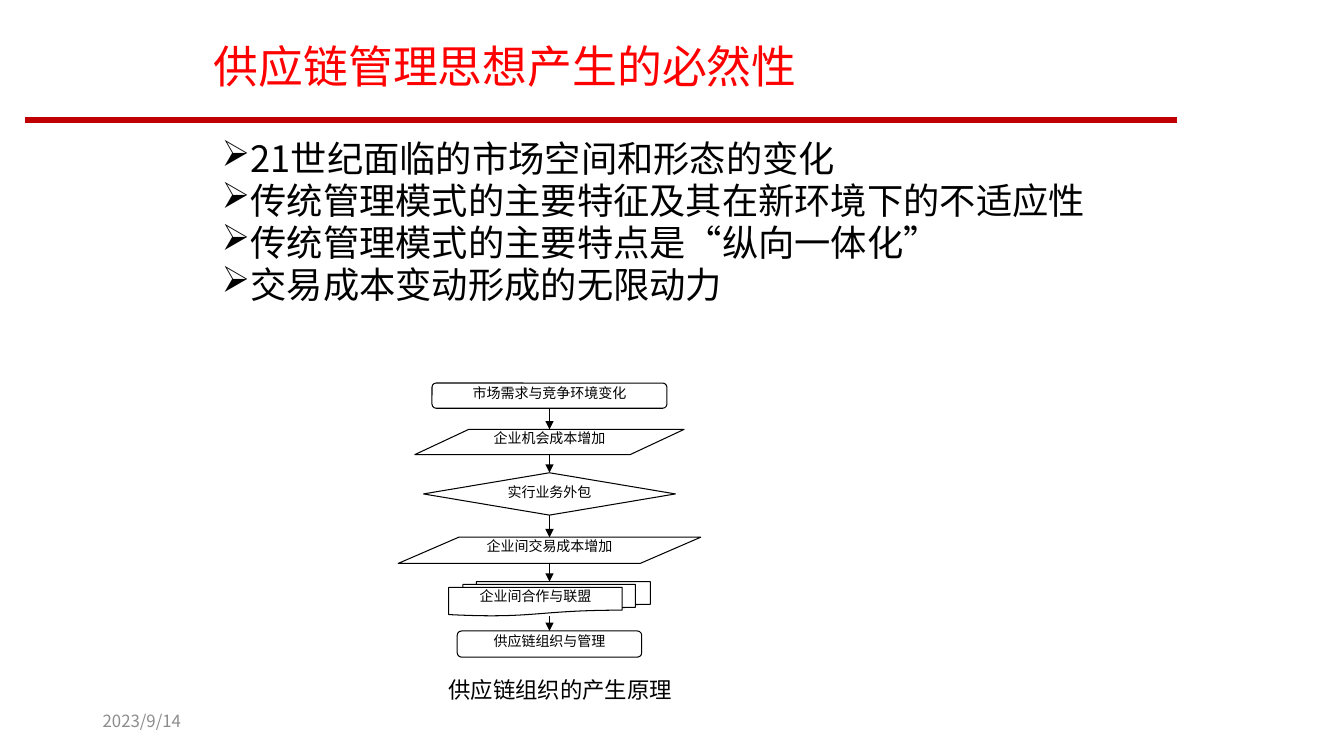
"""Build a slide on why supply chain management thinking had to emerge."""
from lxml import etree
from pptx import Presentation
from pptx.dml.color import RGBColor
from pptx.enum.shapes import MSO_CONNECTOR, MSO_SHAPE
from pptx.enum.text import MSO_ANCHOR, PP_ALIGN
from pptx.oxml.ns import qn
from pptx.util import Inches, Pt

STRAIGHT = MSO_CONNECTOR.STRAIGHT
TERMINAL = MSO_SHAPE.FLOWCHART_ALTERNATE_PROCESS
DATA = MSO_SHAPE.FLOWCHART_DATA
DECISION = MSO_SHAPE.FLOWCHART_DECISION
DOCUMENTS = MSO_SHAPE.FLOWCHART_MULTIDOCUMENT
TOP, MIDDLE = MSO_ANCHOR.TOP, MSO_ANCHOR.MIDDLE
LEFT, CENTER = PP_ALIGN.LEFT, PP_ALIGN.CENTER

CJK_FONT = "Noto Sans CJK SC"
LATIN_FONT = "Calibri"
BLACK, WHITE, RED, DARK_RED, GRAY = "000000", "FFFFFF", "FF0000", "C00000", "8C8C8C"

TITLE = "供应链管理思想产生的必然性"
BULLETS = [
    "21世纪面临的市场空间和形态的变化",
    "传统管理模式的主要特征及其在新环境下的不适应性",
    "传统管理模式的主要特点是“纵向一体化”",
    "交易成本变动形成的无限动力",
]
FLOW_CENTER = 5.45
FLOW_STEPS = [
    ("市场需求与竞争环境变化", TERMINAL, 3.8, 2.33, 0.25),
    ("企业机会成本增加", DATA, 4.26, 2.67, 0.25),
    ("实行业务外包", DECISION, 4.69, 2.5, 0.42),
    ("企业间交易成本增加", DATA, 5.33, 3, 0.26),
    ("企业间合作与联盟", DOCUMENTS, 5.77, 2, 0.34),
    ("供应链组织与管理", TERMINAL, 6.26, 1.83, 0.26),
]
CAPTION = "供应链组织的产生原理"
DATE = "2023/9/14"


def rgb(color):
    return RGBColor.from_string(color)


def write(shape, lines, size, color, font=CJK_FONT, align=LEFT, anchor=TOP, wrap=True):
    frame = shape.text_frame
    frame.text = "\n".join(lines)
    frame.word_wrap = wrap
    frame.vertical_anchor = anchor
    for paragraph in frame.paragraphs:
        paragraph.alignment = align
        paragraph.font.size = Pt(size)
        paragraph.font.color.rgb = rgb(color)
        paragraph.font.name = font
        defaults = paragraph._p.pPr.find(qn("a:defRPr"))
        etree.SubElement(defaults, qn("a:ea")).set("typeface", CJK_FONT)
    return frame


def add_text(slide, box, lines, size, color, **options):
    shape = slide.shapes.add_textbox(*map(Inches, box))
    return write(shape, lines, size, color, **options)


def add_bullet(paragraph):
    properties = paragraph._p.pPr
    properties.set("marL", str(Inches(0.25)))
    properties.set("indent", str(-Inches(0.25)))
    bullet = etree.Element(qn("a:buChar"))
    bullet.set("char", "➢")
    properties.find(qn("a:defRPr")).addprevious(bullet)


def add_line(shapes, start, end, color, width, arrow=False):
    line = shapes.add_connector(STRAIGHT, *map(Inches, start + end))
    line.line.color.rgb = rgb(color)
    line.line.width = Pt(width)
    if arrow:
        etree.SubElement(line.line._get_or_add_ln(), qn("a:tailEnd")).set("type", "triangle")
    etree.SubElement(line._element.spPr, qn("a:effectLst"))


def add_step(shapes, text, kind, top, width, height):
    box = (FLOW_CENTER - width / 2, top, width, height)
    shape = shapes.add_shape(kind, *map(Inches, box))
    shape.shadow.inherit = False
    shape.fill.solid()
    shape.fill.fore_color.rgb = rgb(WHITE)
    shape.line.color.rgb = rgb(BLACK)
    shape.line.width = Pt(0.75)
    frame = write(shape, [text], 10, BLACK, font=LATIN_FONT, align=CENTER)
    frame.margin_left = frame.margin_right = frame.margin_top = frame.margin_bottom = 0


def add_flowchart(slide):
    shapes = slide.shapes.add_group_shape().shapes
    for step in FLOW_STEPS:
        add_step(shapes, *step)
    for upper, lower in zip(FLOW_STEPS, FLOW_STEPS[1:]):
        bottom = upper[2] + upper[4]
        add_line(shapes, (FLOW_CENTER, bottom), (FLOW_CENTER, lower[2]), BLACK, 0.75, arrow=True)


def main():
    presentation = Presentation()
    presentation.slide_width, presentation.slide_height = Inches(13.33), Inches(7.5)
    slide = presentation.slides.add_slide(presentation.slide_layouts[5])

    title = slide.shapes.title
    title.left, title.top, title.width, title.height = map(Inches, (2.02, 0.31, 9, 0.75))
    write(title, [TITLE], 32, RED, anchor=MIDDLE).paragraphs[0].line_spacing = 0.9

    body = add_text(slide, (2.1, 1.39, 9, 2.08), BULLETS, 25.9, BLACK)
    for paragraph in body.paragraphs:
        paragraph.line_spacing = 0.8
        paragraph.space_after = Pt(5)
        add_bullet(paragraph)

    add_flowchart(slide)
    add_text(slide, (4.35, 6.66, 2.45, 0.37), [CAPTION], 16, BLACK, font=LATIN_FONT, wrap=False)
    add_text(slide, (0.92, 6.95, 3, 0.4), [DATE], 12, GRAY, anchor=MIDDLE)
    add_line(slide.shapes, (0.25, 1.19), (11.67, 1.19), DARK_RED, 4.5)
    presentation.save("out.pptx")


if __name__ == "__main__":
    main()
